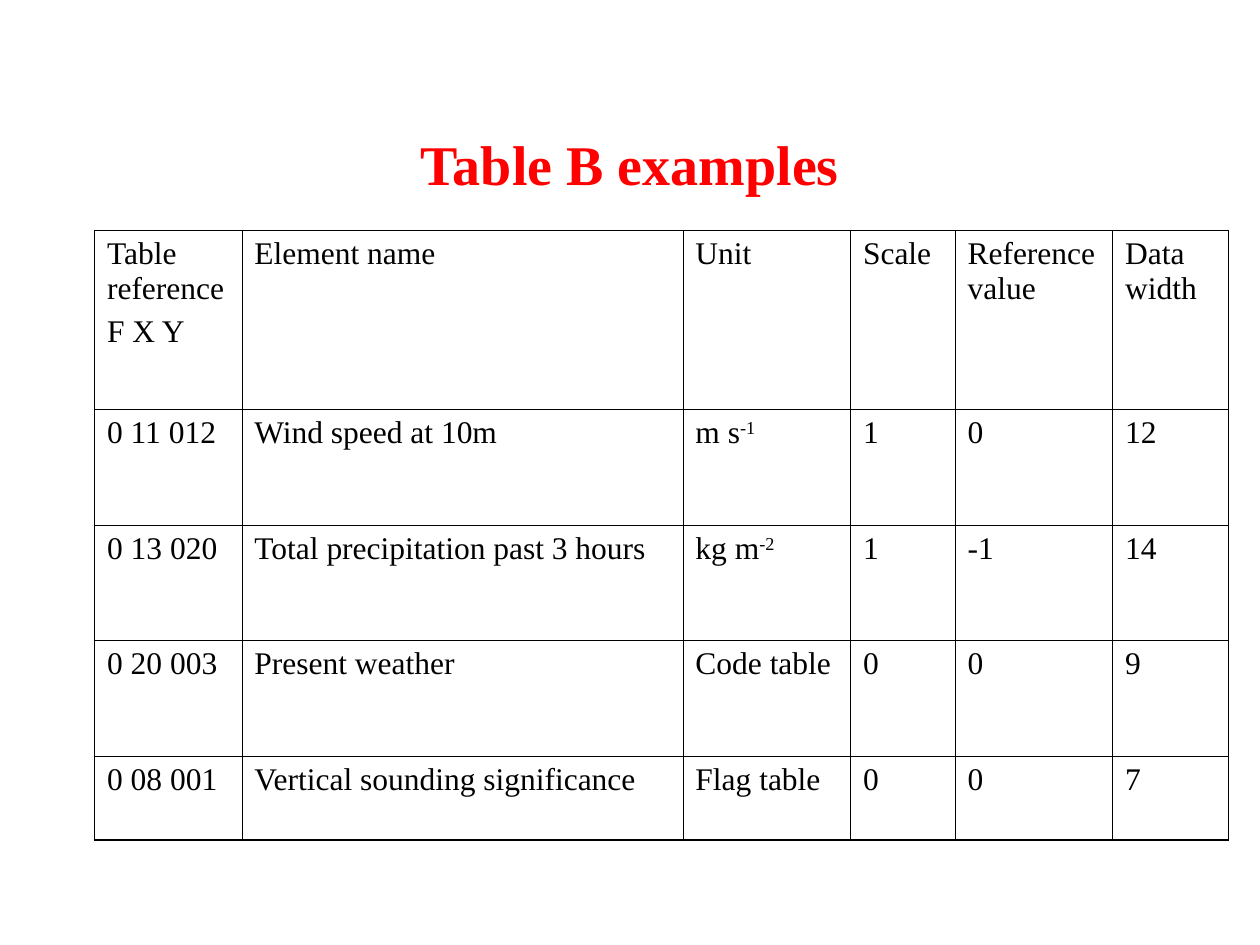
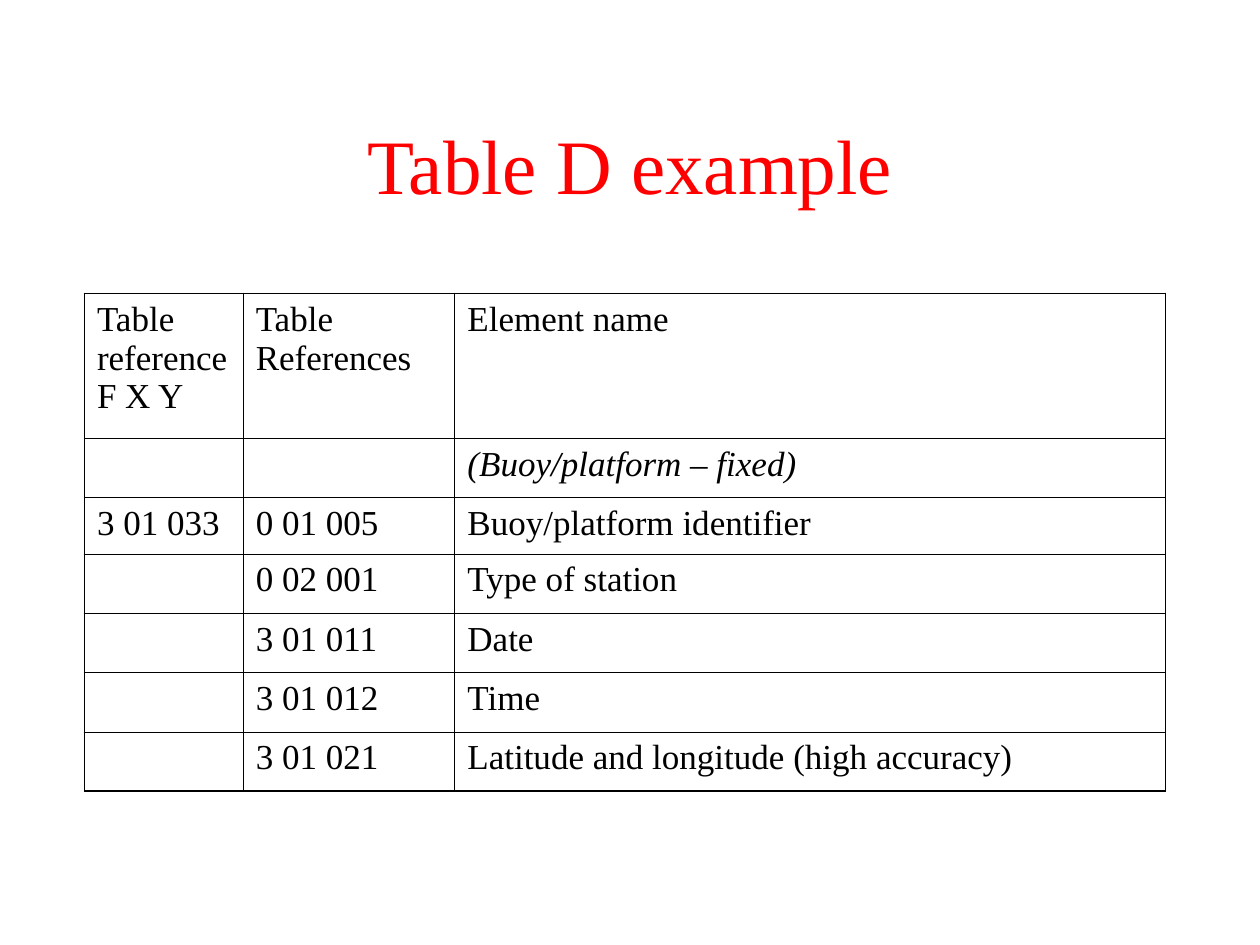
from lxml.etree import SubElement
from pptx import Presentation
from pptx.dml.color import RGBColor
from pptx.enum.text import MSO_ANCHOR, PP_ALIGN
from pptx.oxml.ns import qn
from pptx.util import Inches, Pt

FONT = "Times New Roman"
RED, BLACK = "FF0000", "000000"
THIN, THICK = 0.45, 1.08
TITLE_BOX = (0.75, 0.67, 8.5, 1.25)

TABLE_B = [
    ["Table reference\nF X Y", "Element name", "Unit", "Scale", "Reference value", "Data width"],
    ["0 11 012", "Wind speed at 10m", "m s^-1", "1", "0", "12"],
    ["0 13 020", "Total precipitation past 3 hours", "kg m^-2", "1", "-1", "14"],
    ["0 20 003", "Present weather", "Code table", "0", "0", "9"],
    ["0 08 001", "Vertical sounding significance", "Flag table", "0", "0", "7"],
]
TABLE_D = [
    ["Table reference F X Y", "Table References", "Element name"],
    ["", "", "(Buoy/platform – fixed)"],
    ["3 01 033", "0 01 005", "Buoy/platform identifier"],
    ["", "0 02 001", "Type of station"],
    ["", "3 01 011", "Date"],
    ["", "3 01 012", "Time"],
    ["", "3 01 021", "Latitude and longitude (high accuracy)"],
]


def rgb(color):
    return RGBColor.from_string(color)


def add_run(p, text, color, **formats):
    r = p.add_run()
    r.text = text
    for name, value in {"name": FONT, **formats}.items():
        setattr(r.font, name, value)
    r.font.color.rgb = rgb(color)
    return r


def add_title(s, box, text, size, bold):
    tf = s.shapes.add_textbox(*map(Inches, box)).text_frame
    tf.word_wrap = True
    tf.vertical_anchor = MSO_ANCHOR.MIDDLE
    p = tf.paragraphs[0]
    p.alignment = PP_ALIGN.CENTER
    add_run(p, text, RED, size=Pt(size), bold=bold)


def fill_cell(cell, text, size, italic):
    tf = cell.text_frame
    for i, line in enumerate(text.split("\n")):
        p = tf.add_paragraph() if i else tf.paragraphs[0]
        p.space_before = Pt(size / 4)
        base, _, power = line.partition("^")
        if base:
            add_run(p, base, BLACK, size=Pt(size), italic=italic)
        if power:
            r = add_run(p, power, BLACK, size=Pt(size))
            r.font._element.set("baseline", "30000")


def set_borders(cell, widths):
    tc_pr = cell._tc.get_or_add_tcPr()
    for side, width in widths.items():
        ln = SubElement(tc_pr, qn(f"a:ln{side}"), w=str(Pt(width)))
        fill = SubElement(ln, qn("a:solidFill"))
        SubElement(fill, qn("a:srgbClr"), val=BLACK)
    cell.fill.background()


def add_grid(s, left, top, cols, rows, data, size, italics=()):
    box = map(Inches, (left, top, sum(cols), sum(rows)))
    table = s.shapes.add_table(len(rows), len(cols), *box).table
    table.first_row = table.horz_banding = False
    for col, width in zip(table.columns, cols):
        col.width = Inches(width)
    for row, height in zip(table.rows, rows):
        row.height = Inches(height)
    for i, texts in enumerate(data):
        for j, text in enumerate(texts):
            cell = table.cell(i, j)
            fill_cell(cell, text, size, (i, j) in italics)
            outer = {"L": j == 0, "R": j == len(cols) - 1, "T": i == 0, "B": i == len(rows) - 1}
            set_borders(cell, {side: THICK if edge else THIN for side, edge in outer.items()})


def table_b_slide(s):
    add_title(s, TITLE_BOX, "Table B examples", 32, True)
    add_grid(s, 0.75, 1.83, [1.17, 3.5, 1.33, 0.83, 1.25, 0.92],
             [1.42, 0.92, 0.91, 0.92, 0.67], TABLE_B, 18)


def table_d_slide(s):
    add_title(s, TITLE_BOX, "Table D example", 44, False)
    add_grid(s, 0.67, 2.33, [1.26, 1.68, 5.64],
             [1.15, 0.47, 0.45] + [0.47] * 4, TABLE_D, 20, italics={(1, 2)})


def main():
    prs = Presentation()
    prs.slide_width, prs.slide_height = Inches(10), Inches(7.5)
    for build in (table_b_slide, table_d_slide):
        build(prs.slides.add_slide(prs.slide_layouts[6]))
    prs.save("out.pptx")


if __name__ == "__main__":
    main()
